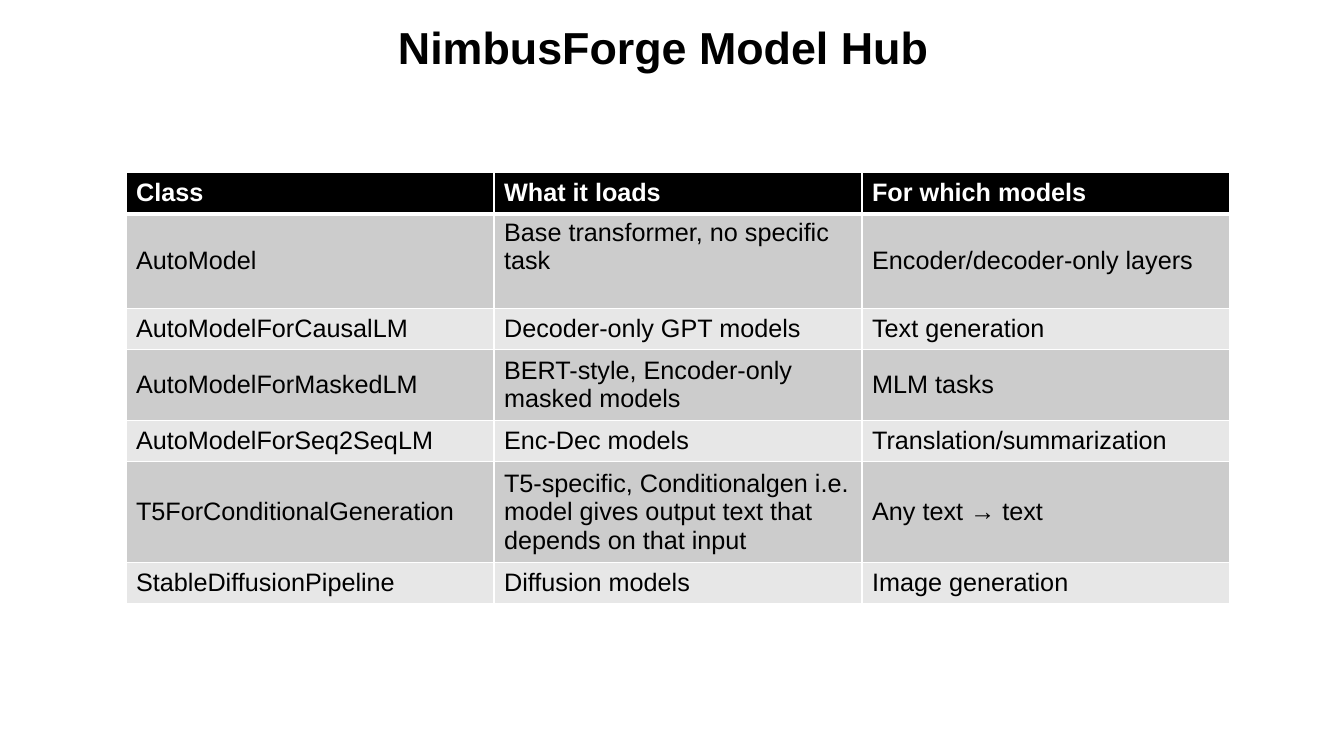
from lxml import etree
from pptx import Presentation
from pptx.dml.color import RGBColor
from pptx.enum.text import MSO_ANCHOR, PP_ALIGN
from pptx.oxml.ns import qn
from pptx.util import Inches, Pt

BLACK = RGBColor(0x00, 0x00, 0x00)
WHITE = RGBColor(0xFF, 0xFF, 0xFF)
DARK_BAND = RGBColor(0xCC, 0xCC, 0xCC)
LIGHT_BAND = RGBColor(0xE7, 0xE7, 0xE7)
TOP = MSO_ANCHOR.TOP
MIDDLE = MSO_ANCHOR.MIDDLE
CENTER = PP_ALIGN.CENTER

MODEL_CLASSES = [
    ("Class", "What it loads", "For which models"),
    ("AutoModel", "Base transformer, no specific task", "Encoder/decoder-only layers"),
    ("AutoModelForCausalLM", "Decoder-only GPT models", "Text generation"),
    ("AutoModelForMaskedLM", "BERT-style, Encoder-only masked models", "MLM tasks"),
    ("AutoModelForSeq2SeqLM", "Enc-Dec models", "Translation/summarization"),
    (
        "T5ForConditionalGeneration",
        "T5-specific, Conditionalgen i.e. model gives output text that depends on that input",
        "Any text → text",
    ),
    ("StableDiffusionPipeline", "Diffusion models", "Image generation"),
]
ONE_LINE, TWO_LINES, THREE_LINES = 0.41, 0.66, 0.94
ROW_HEIGHTS = [ONE_LINE, THREE_LINES, ONE_LINE, TWO_LINES, ONE_LINE, THREE_LINES, ONE_LINE]


class SlideBuilder:
    font_name = "Arial"
    title_size = Pt(32)
    table_size = Pt(18)

    def __init__(self, page):
        self.page = page

    def style_text(self, frame, size, color, bold):
        for para in frame.paragraphs:
            for span in para.runs:
                span.font.name = self.font_name
                span.font.size = size
                span.font.bold = bold
                span.font.color.rgb = color

    def title(self, text, left, top, width, height):
        box = self.page.shapes.add_textbox(
            Inches(left), Inches(top), Inches(width), Inches(height)
        )
        frame = box.text_frame
        frame.word_wrap = True
        frame.vertical_anchor = MIDDLE
        frame.text = text
        para = frame.paragraphs[0]
        para.alignment = CENTER
        para.line_spacing = 0.9
        self.style_text(frame, self.title_size, BLACK, True)

    def borders(self, cell, widths):
        properties = cell._tc.get_or_add_tcPr()
        for side, width in widths.items():
            line = etree.SubElement(properties, qn(f"a:ln{side}"), w=str(Pt(width)))
            fill = etree.SubElement(line, qn("a:solidFill"))
            etree.SubElement(fill, qn("a:srgbClr"), val=str(WHITE))

    def table(self, rows, heights, left, top, column_width):
        columns = len(rows[0])
        grid = self.page.shapes.add_table(
            len(rows), columns, Inches(left), Inches(top),
            Inches(column_width * columns), Inches(sum(heights)),
        ).table
        for column in grid.columns:
            column.width = Inches(column_width)
        for index, (texts, height) in enumerate(zip(rows, heights)):
            grid.rows[index].height = Inches(height)
            header = index == 0
            band = BLACK if header else DARK_BAND if index % 2 else LIGHT_BAND
            widths = {"L": 1, "R": 1, "T": 3 if index == 1 else 1, "B": 3 if header else 1}
            for position, text in enumerate(texts):
                cell = grid.cell(index, position)
                self.borders(cell, widths)
                cell.fill.solid()
                cell.fill.fore_color.rgb = band
                cell.vertical_anchor = MIDDLE
                cell.text_frame.text = text
                self.style_text(
                    cell.text_frame, self.table_size, WHITE if header else BLACK, header
                )
        return grid


def main():
    deck = Presentation()
    deck.slide_width = Inches(13.33)
    deck.slide_height = Inches(7.5)
    builder = SlideBuilder(deck.slides.add_slide(deck.slide_layouts[6]))
    builder.title("NimbusForge Model Hub", 0.83, 0.17, 11.5, 0.65)
    model_table = builder.table(MODEL_CLASSES, ROW_HEIGHTS, 1.25, 1.71, 3.65)
    model_table.cell(1, 1).vertical_anchor = TOP
    deck.save("out.pptx")


if __name__ == "__main__":
    main()
